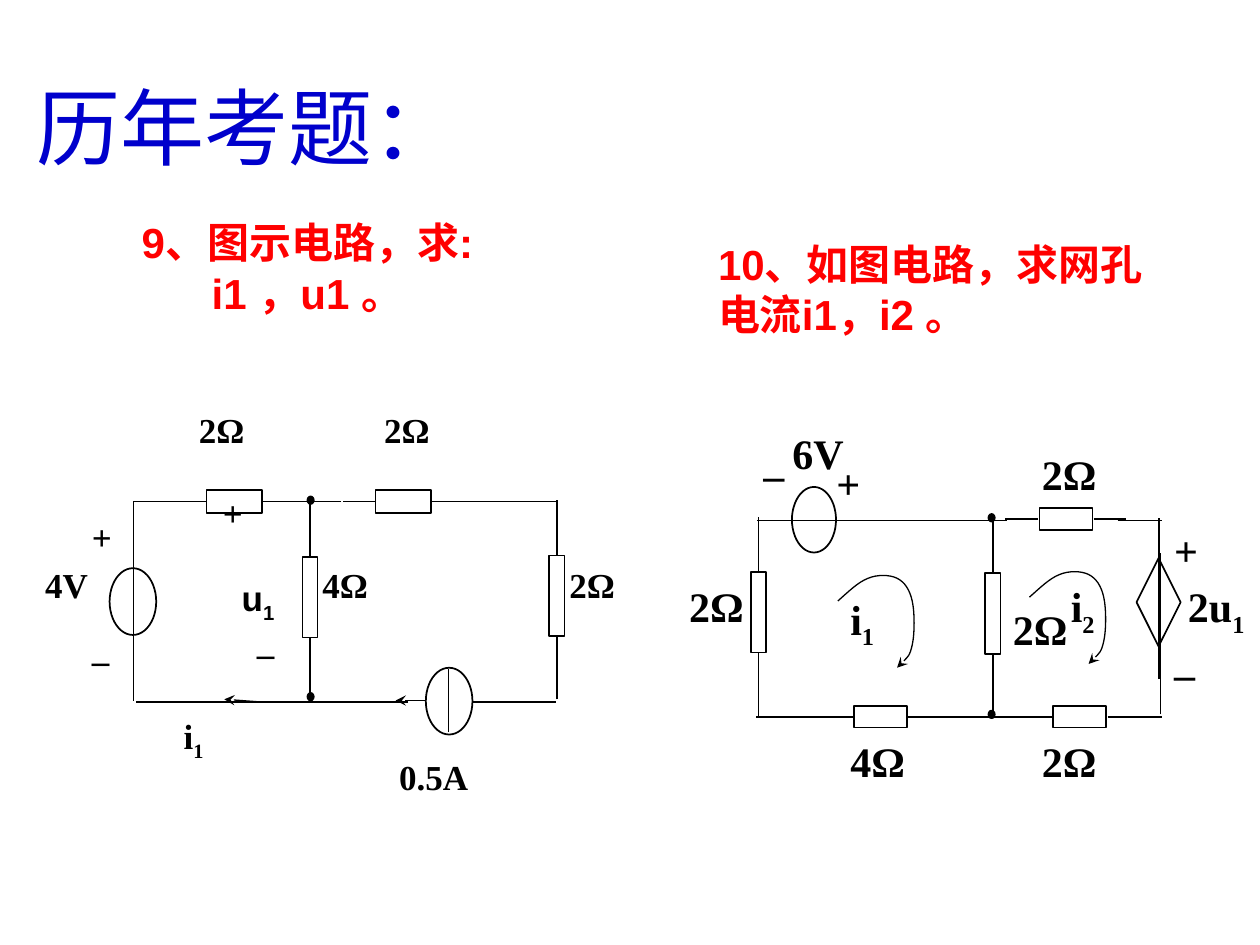
from lxml.etree import SubElement
from pptx import Presentation
from pptx.dml.color import RGBColor
from pptx.enum.shapes import MSO_CONNECTOR, MSO_SHAPE
from pptx.enum.text import MSO_ANCHOR, MSO_AUTO_SIZE, PP_ALIGN
from pptx.oxml.ns import qn
from pptx.util import Cm, Pt

COLORS = {"title": "0000CC", "question": "FF0000", "ink": "000000"}
SERIF, SANS = "Times New Roman", "Arial"

# Content; positions are in inches and become Cm when placed
HEADINGS = [  # box, lines, format, alignment, anchor
    ((0.19, 0.55, 8.99, 0.9), ["历年考题："],
     {"size": Pt(48), "name": SERIF}, "title", PP_ALIGN.LEFT, MSO_ANCHOR.TOP),
    ((5.6, 1.84, 3.75, 0.9), ["10、如图电路，求网孔电流i1，i2 。"],
     {"size": Pt(24), "name": SANS, "bold": True}, "question", PP_ALIGN.LEFT, MSO_ANCHOR.MIDDLE),
    ((0.37, 1.67, 4.14, 0.9), ["9、图示电路，求:", "i1 ，u1 。"],
     {"size": Pt(24), "name": SANS, "bold": True}, "question", PP_ALIGN.CENTER, MSO_ANCHOR.MIDDLE),
]

CIRCUITS = [
    {   # Question 9
        "label_size": 20,
        "resistor": (0.44, 0.18),
        "across": [(1.86, 3.98), (3.2, 3.98)],
        "upright": [(2.46, 4.74), (4.42, 4.73)],
        "wires": [(4.42, 3.98, 3.44, 3.98), (1.42, 3.98, 1.06, 3.98),
                  (2.71, 3.98, 2.34, 3.98), (1.06, 3.98, 1.06, 5.56),
                  (2.18, 5.57, 1.08, 5.57), (3.24, 5.57, 2.14, 5.57),
                  (3.97, 5.57, 3.75, 5.57), (4.41, 5.57, 3.83, 5.57),
                  (3.56, 5.31, 3.56, 5.81)],
        "arrows": [(3.37, 5.56, 3.14, 5.56, 1), (2.05, 5.57, 1.78, 5.55, 0.75)],
        "nodes": [(2.465, 3.97), (2.465, 5.53)],
        "sources": [(MSO_SHAPE.OVAL, 1.055, 4.775, 0.37, 0.53),
                    (MSO_SHAPE.OVAL, 3.565, 5.565, 0.37, 0.53)],
        "loops": [],
        "labels": [("–", "", 0.63, 5.02, 0.61), ("+", "", 0.63, 4.04, 0.61),
                   ("4V", "", 0.26, 4.42, 0.86), ("2Ω", "", 1.48, 3.19, 0.86),
                   ("2Ω", "", 2.95, 3.19, 0.86), ("4Ω", "", 2.46, 4.42, 0.86),
                   ("i", "1", 1.36, 5.62, 0.86), ("0.5A", "", 3.07, 5.95, 0.86),
                   ("2Ω", "", 4.42, 4.42, 0.61), ("+", "", 1.67, 3.85, 0.61),
                   ("–", "", 1.94, 4.96, 0.61), ("u", "1", 1.82, 4.53, 0.86)],
    },
    {   # Question 10
        "label_size": 24,
        "resistor": (0.42, 0.17),
        "across": [(8.46, 4.12), (8.57, 5.69), (6.99, 5.69)],
        "upright": [(7.88, 4.87), (6.02, 4.86)],
        "wires": [(6.01, 4.13, 6.95, 4.13), (6.83, 4.13, 7.88, 4.13),
                  (7.64, 4.13, 7.99, 4.13), (8.87, 4.13, 9.22, 4.13),
                  (6, 5.69, 6.7, 5.69), (7.4, 5.69, 8.1, 5.69),
                  (8.83, 5.69, 9.22, 5.69), (9.2, 5.39, 9.2, 4.11),
                  (9.21, 5.67, 9.21, 4.39)],
        "arrows": [],
        "nodes": [(7.87, 4.11), (7.87, 5.67)],
        "sources": [(MSO_SHAPE.OVAL, 6.46, 4.125, 0.35, 0.52),
                    (MSO_SHAPE.DIAMOND, 9.195, 4.78, 0.35, 0.7)],
        "loops": [(6.65, 4.77), (8.17, 4.74)],
        "labels": [("2u", "1", 9.33, 4.56, 0.67), ("4Ω", "", 6.65, 5.79, 0.82),
                   ("–", "", 9.22, 5.09, 0.58), ("+", "", 9.22, 4.11, 0.58),
                   ("6V", "", 6.19, 3.34, 0.81), ("+", "", 6.54, 3.58, 0.58),
                   ("2Ω", "", 5.37, 4.56, 0.81), ("2Ω", "", 8.17, 3.51, 0.81),
                   ("2Ω", "", 8.17, 5.79, 0.93), ("–", "", 5.96, 3.51, 0.58),
                   ("i", "1", 6.65, 4.66, 0.82), ("i", "2", 8.4, 4.56, 0.81),
                   ("2Ω", "", 7.94, 4.74, 0.81)],
    },
]
# Bezier points of a mesh-current loop, relative to its start, three per curve
LOOP_CURVE = [(0.08, -0.07), (0.16, -0.15), (0.24, -0.18),
              (0.31, -0.21), (0.41, -0.21), (0.47, -0.18),
              (0.53, -0.15), (0.57, -0.09), (0.59, 0),
              (0.61, 0.09), (0.61, 0.26), (0.59, 0.35),
              (0.57, 0.44), (0.52, 0.48), (0.47, 0.53)]
UPRIGHT_BODY = (0.12, 0.64)
LABEL_HEIGHT = 0.6


def lengths(*inches):
    return [Cm(2.54 * value) for value in inches]


def color(key):
    return RGBColor.from_string(COLORS[key])


def apply(target, values):
    for name, value in values.items():
        setattr(target, name, value)


def ink_line(part, width=1, arrow=False):
    part.line.color.rgb = color("ink")
    part.line.width = Pt(width)
    if arrow:
        outline = part._element.spPr.find(qn("a:ln"))
        SubElement(outline, qn("a:tailEnd")).set("type", "stealth")


def add_wire(x1, y1, x2, y2, width=1, arrow=False):
    wire = slide.shapes.add_connector(MSO_CONNECTOR.STRAIGHT, *lengths(x1, y1, x2, y2))
    ink_line(wire, width, arrow)
    SubElement(wire._element.spPr, qn("a:effectLst"))


def add_symbol(kind, cx, cy, width, height, filled=False):
    symbol = slide.shapes.add_shape(
        kind, *lengths(cx - width / 2, cy - height / 2, width, height))
    symbol.shadow.inherit = False
    if filled:
        symbol.fill.solid()
        symbol.fill.fore_color.rgb = color("ink")
    else:
        symbol.fill.background()
    ink_line(symbol)


def add_loop(x, y):
    points = [lengths(x + dx, y + dy) for dx, dy in LOOP_CURVE]
    builder = slide.shapes.build_freeform(*lengths(x, y))
    builder.add_line_segments(points, close=False)
    loop = builder.convert_to_shape()
    loop.shadow.inherit = False
    loop.fill.background()
    ink_line(loop, 0.75, arrow=True)
    # Turn every three line points into one cubic curve
    outline = next(loop._element.iter(qn("a:path")))
    segments = outline.findall(qn("a:lnTo"))
    for start in range(0, len(segments), 3):
        curve = SubElement(outline, qn("a:cubicBezTo"))
        for segment in segments[start:start + 3]:
            curve.append(segment[0])
            outline.remove(segment)


def add_text_frame(box, anchor=MSO_ANCHOR.TOP):
    frame = slide.shapes.add_textbox(*lengths(*box)).text_frame
    apply(frame, {"word_wrap": True, "vertical_anchor": anchor})
    return frame


def add_run(paragraph, text, font_format, color_key):
    run = paragraph.add_run()
    run.text = text
    apply(run.font, font_format)
    run.font.color.rgb = color(color_key)
    return run


def add_label(text, subscript, x, y, width, size):
    paragraph = add_text_frame((x, y, width, LABEL_HEIGHT)).paragraphs[0]
    paragraph.alignment = PP_ALIGN.JUSTIFY
    font_format = {"size": Pt(size), "bold": True, "name": SANS if text == "u" else SERIF}
    add_run(paragraph, text, font_format, "ink")
    if subscript:
        lowered = add_run(paragraph, subscript, font_format, "ink")
        lowered.font._element.set("baseline", "-25000")


presentation = Presentation()
presentation.slide_width, presentation.slide_height = lengths(10, 7.5)
slide = presentation.slides.add_slide(presentation.slide_layouts[6])

# Title and questions
for box, lines, font_format, color_key, alignment, anchor in HEADINGS:
    frame = add_text_frame(box, anchor)
    frame.auto_size = MSO_AUTO_SIZE.SHAPE_TO_FIT_TEXT
    for index, line in enumerate(lines):
        paragraph = frame.add_paragraph() if index else frame.paragraphs[0]
        paragraph.alignment = alignment
        add_run(paragraph, line, font_format, color_key)

# Circuits
for circuit in CIRCUITS:
    for wire in circuit["wires"]:
        add_wire(*wire)
    for arrow in circuit["arrows"]:
        add_wire(*arrow, arrow=True)
    # Resistors with a lead at each end
    for cx, cy in circuit["across"]:
        add_symbol(MSO_SHAPE.RECTANGLE, cx, cy, *circuit["resistor"])
        for side in (-1, 1):
            add_wire(cx + side * 0.22, cy, cx + side * 0.48, cy)
    for cx, cy in circuit["upright"]:
        add_symbol(MSO_SHAPE.RECTANGLE, cx, cy, *UPRIGHT_BODY)
        add_wire(cx, cy - 0.32, cx, cy - 0.76)
        add_wire(cx, cy + 0.82, cx, cy + 0.32)
    for source in circuit["sources"]:
        add_symbol(*source)
    for node in circuit["nodes"]:
        add_symbol(MSO_SHAPE.FLOWCHART_CONNECTOR, *node, 0.05, 0.06, filled=True)
    for loop_start in circuit["loops"]:
        add_loop(*loop_start)
    for label in circuit["labels"]:
        add_label(*label, circuit["label_size"])

presentation.save("out.pptx")
